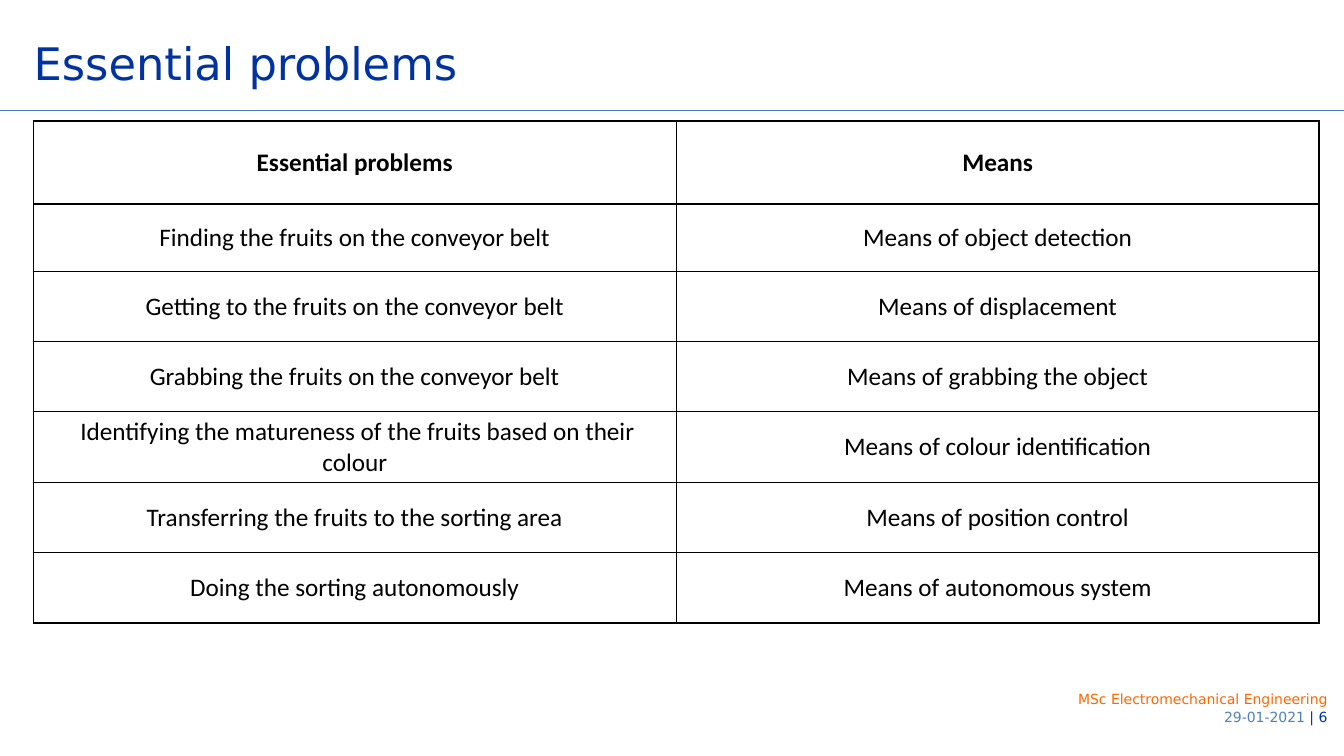
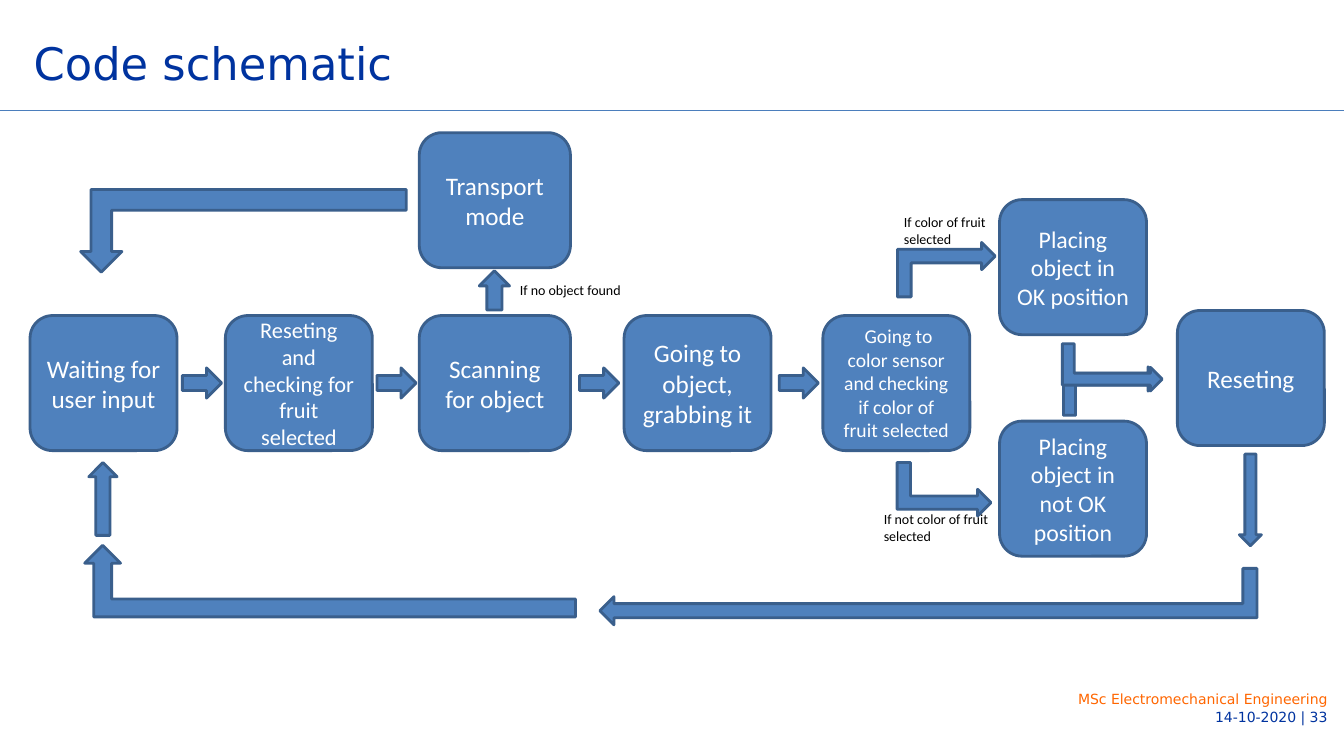
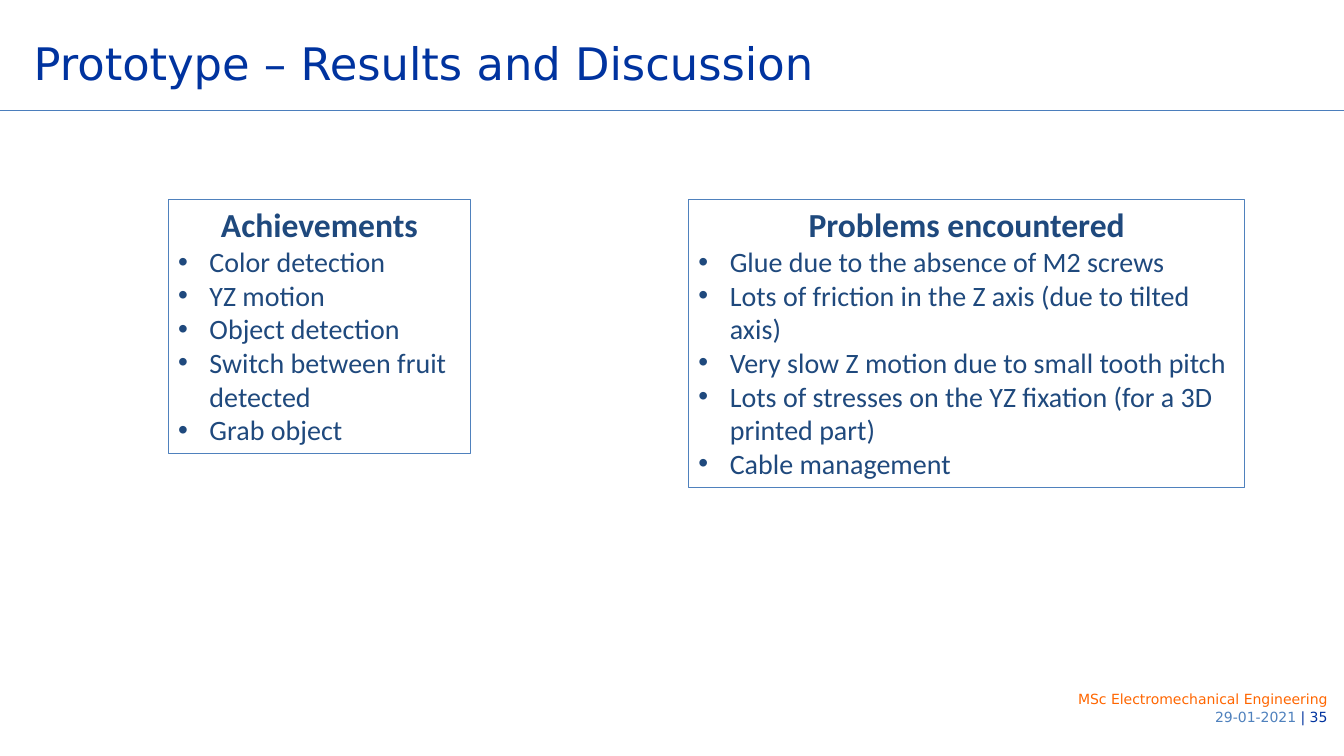
from lxml import etree
from pptx import Presentation
from pptx import util as u
from pptx.dml.color import RGBColor
from pptx.enum import shapes, text
from pptx.oxml import parse_xml
from pptx.oxml.ns import nsdecls, qn

Pt = u.Pt
KIND = shapes.MSO_SHAPE
ALIGN = text.PP_ALIGN
ANCHOR = text.MSO_ANCHOR

# Shared look
COLOURS = {
    "title": "00339F", "rule": "4B7EBC", "course": "FF6600", "accent": "4F81BD",
    "outline": "3A5F8C", "panel": "1F497D", "black": "000000", "white": "FFFFFF",
}
HEADING_FONT, BODY_FONT = "DejaVu Sans", "Calibri"
WIDTH, HEIGHT = 960, 540
COURSE = "MSc Electromechanical Engineering"

# Slide 1: table
PROBLEMS = [
    ("Essential problems", "Means"),
    ("Finding the fruits on the conveyor belt", "Means of object detection"),
    ("Getting to the fruits on the conveyor belt", "Means of displacement"),
    ("Grabbing the fruits on the conveyor belt", "Means of grabbing the object"),
    (" Identifying the matureness of the fruits based on their colour",
     "Means of colour identification"),
    ("Transferring the fruits to the sorting area", "Means of position control"),
    ("Doing the sorting autonomously", "Means of autonomous system"),
]
ROW_HEIGHTS = [59.3, 48.2] + [50.2] * 5

# Slide 2: steps as (lines, left, top, width, text size)
MAIN_TOP, STEP_HEIGHT = 225.4, 96.5
STEPS = [
    (["Waiting for user input"], 21.5, MAIN_TOP, 105, 18),
    (["Reseting", "and checking for fruit selected"], 161, MAIN_TOP, 105, 16),
    (["Scanning for object"], 299.5, MAIN_TOP, 108, 18),
    (["Going to object, grabbing it"], 445.8, MAIN_TOP, 105, 18),
    ([" Going to color sensor and checking if color of fruit selected"],
     587.8, MAIN_TOP, 105, 14),
    (["Transport mode"], 299.5, 94.8, 108, 18),
    (["Placing object in OK position"], 714, 142.6, 105, 17),
    (["Placing object in not OK position"], 714, 300.8, 105, 17),
    (["Reseting"], 841, 221.8, 105, 18),
]
# Straight arrows as (left, top, width, height, rotation)
STRAIGHT_ARROWS = [(left, 262.8, 28, 21.6, 0) for left in (130.3, 269.3, 414, 556.6)] + [
    (339.2, 196.6, 28, 21.6, 270),
    (47.5, 346.3, 52, 20.2, 270),
    (860.4, 349.2, 65.5, 15.8, 90),
]
# Bent arrows as (left, top, width, height, rotation, flip)
BENT_ARROWS = [
    (655.2, 316, 38.2, 67, 90, None),
    (656.6, 157.7, 38.9, 69.8, 90, "flipH"),
    (776.9, 244.8, 34.6, 69.1, 90, "flipH"),
    (777.6, 226.8, 33.8, 71.3, 90, None),
    (57.6, 135.4, 232.6, 59, 180, None),
    (643, 191.5, 40.3, 469.4, 90, "flipV"),
    (60.5, 389.5, 350.6, 51.1, 180, "flipV"),
]
# Labels as (words, left, top, width, height)
CONDITIONS = [
    ("If not color of fruit selected", 624.2, 361.4, 102.2, 31.7),
    ("If color of fruit selected", 638.6, 149, 108, 31.7),
    ("If no object found", 364.3, 197.3, 108, 19.4),
]

# Slide 3: panels as (heading, bullets, left, width, height)
PANELS = [
    ("Achievements",
     ["Color detection", "YZ motion", "Object detection",
      "Switch between fruit detected", "Grab object"], 120.2, 216, 181.8),
    ("Problems encountered",
     ["Glue due to the absence of M2 screws",
      "Lots of friction in the Z axis (due to tilted axis)",
      "Very slow Z motion due to small tooth pitch",
      "Lots of stresses on the YZ fixation (for a 3D printed part)",
      "Cable management"], 491.8, 397.4, 206),
]
PANEL_TOP, BULLET_INDENT = 142.4, 22.4


def rgb(name):
    return RGBColor.from_string(COLOURS[name])


def add_span(para, words, size, colour, name=BODY_FONT, bold=False):
    span = para.add_run()
    span.text = words
    for key, value in {"size": Pt(size), "name": name, "bold": bold}.items():
        setattr(span.font, key, value)
    span.font.color.rgb = rgb(colour)


def add_para(frame, first, align=ALIGN.LEFT):
    para = frame.paragraphs[0] if first else frame.add_paragraph()
    para.alignment = align
    return para


def add_box(page, place, margins=True):
    frame = page.shapes.add_textbox(*map(Pt, place)).text_frame
    frame.word_wrap = True
    if not margins:
        for side in ("left", "right", "top", "bottom"):
            setattr(frame, f"margin_{side}", 0)
    return frame


def add_block(page, kind, place, rotation=0, flip=None):
    """Filled and outlined shape of the flow chart."""
    block = page.shapes.add_shape(kind, *map(Pt, place))
    block.shadow.inherit = False
    block.rotation = rotation
    block.fill.solid()
    block.fill.fore_color.rgb = rgb("accent")
    block.line.color.rgb = rgb("outline")
    block.line.width = Pt(2)
    if flip:
        block._element.spPr.xfrm.set(flip, "1")
    return block


def add_page(deck, title, date, number, date_colour="accent"):
    """Page with the rule, title and footer that all slides share."""
    page = deck.slides.add_slide(deck.slide_layouts[6])
    rule = page.shapes.add_connector(
        shapes.MSO_CONNECTOR.STRAIGHT, 0, Pt(78.7), Pt(WIDTH), Pt(78.7))
    rule.line.color.rgb = rgb("rule")
    rule.line.width = Pt(0.75)
    etree.SubElement(rule._element.spPr, qn("a:effectLst"))

    heading = add_box(page, (24, 25.2, 865.4, 39), margins=False)
    add_span(add_para(heading, True), title, 32, "title", HEADING_FONT)

    footer = add_box(page, (714.2, 493.4, 234, 25), margins=False)
    add_span(add_para(footer, True, ALIGN.RIGHT), COURSE, 10, "course", HEADING_FONT)
    para = add_para(footer, False, ALIGN.RIGHT)
    para.space_before = Pt(0.7)
    add_span(para, date, 10, date_colour, HEADING_FONT)
    add_span(para, f" | {number}", 10, "title", HEADING_FONT)
    return page


def add_borders(cell):
    props = cell._tc.get_or_add_tcPr()
    for position, side in enumerate("LRTB"):
        props.insert(position, parse_xml(
            f'<a:ln{side} {nsdecls("a")} w="{Pt(1)}"><a:solidFill>'
            f'<a:srgbClr val="{COLOURS["black"]}"/></a:solidFill></a:ln{side}>'))


def add_problem_table(page):
    table = page.shapes.add_table(
        len(PROBLEMS), 2, Pt(23.8), Pt(86.4), Pt(918.4), Pt(sum(ROW_HEIGHTS))).table
    table.first_row = table.horz_banding = False
    for column in table.columns:
        column.width = Pt(459.2)
    for row, (entries, height) in enumerate(zip(PROBLEMS, ROW_HEIGHTS)):
        table.rows[row].height = Pt(height)
        for column, words in enumerate(entries):
            cell = table.cell(row, column)
            cell.fill.background()
            add_borders(cell)
            cell.vertical_anchor = ANCHOR.MIDDLE
            para = add_para(cell.text_frame, True, ALIGN.CENTER)
            add_span(para, words, 18, "black", bold=row == 0)


def add_flow_chart(page):
    for lines, left, top, width, size in STEPS:
        step = add_block(page, KIND.ROUNDED_RECTANGLE, (left, top, width, STEP_HEIGHT))
        step.text_frame.word_wrap = True
        step.text_frame.vertical_anchor = ANCHOR.MIDDLE
        for index, words in enumerate(lines):
            para = add_para(step.text_frame, index == 0, ALIGN.CENTER)
            add_span(para, words, size, "white")
    for *place, rotation in STRAIGHT_ARROWS:
        add_block(page, KIND.RIGHT_ARROW, place, rotation)
    for *place, rotation, flip in BENT_ARROWS:
        add_block(page, KIND.BENT_UP_ARROW, place, rotation, flip)
    for words, *place in CONDITIONS:
        add_span(add_para(add_box(page, place), True), words, 10, "black")


def add_bullet(para):
    props = para._p.get_or_add_pPr()
    props.set("marL", str(Pt(BULLET_INDENT)))
    props.set("indent", str(-Pt(BULLET_INDENT)))
    etree.SubElement(props, qn("a:buFont")).set("typeface", "Arial")
    etree.SubElement(props, qn("a:buChar")).set("char", "•")


def add_panel(page, heading, bullets, left, width, height):
    panel = page.shapes.add_shape(
        KIND.RECTANGLE, *map(Pt, (left, PANEL_TOP, width, height)))
    panel.shadow.inherit = False
    panel.fill.background()
    panel.line.color.rgb = rgb("accent")
    panel.line.width = Pt(0.75)
    frame = panel.text_frame
    frame.word_wrap = True
    frame.vertical_anchor = ANCHOR.TOP
    add_span(add_para(frame, True, ALIGN.CENTER), heading, 24, "panel", bold=True)
    for words in bullets:
        para = add_para(frame, False)
        add_bullet(para)
        add_span(para, words, 20, "panel")


def main():
    deck = Presentation()
    deck.slide_width, deck.slide_height = Pt(WIDTH), Pt(HEIGHT)
    add_problem_table(add_page(deck, "Essential problems", "29-01-2021", 6))
    add_flow_chart(add_page(deck, "Code schematic", "14-10-2020", 33, "title"))
    results = add_page(deck, "Prototype – Results and Discussion", "29-01-2021", 35)
    for panel in PANELS:
        add_panel(results, *panel)
    deck.save("out.pptx")


if __name__ == "__main__":
    main()
